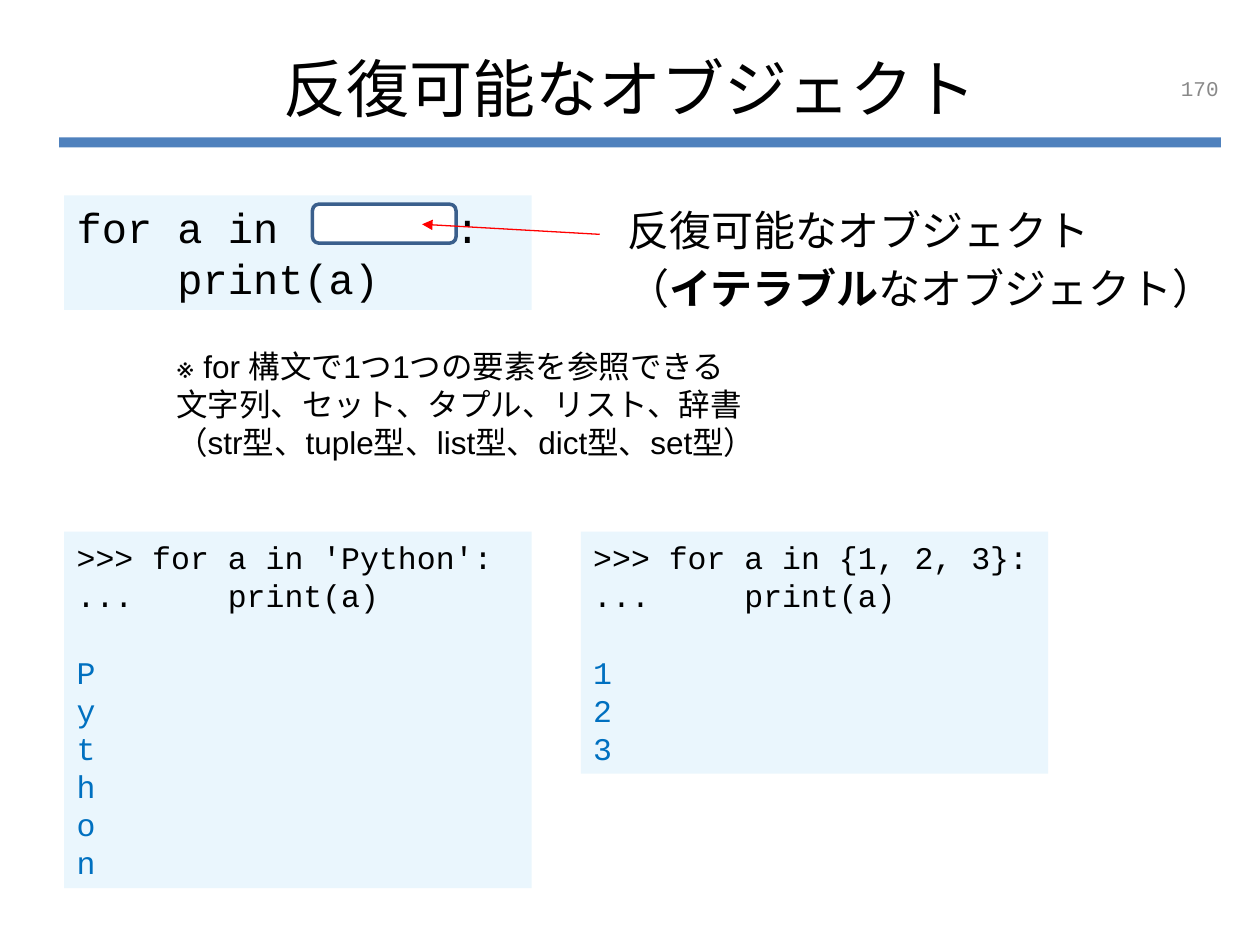
from lxml.etree import SubElement
from pptx import Presentation
from pptx.dml.color import RGBColor
from pptx.enum.shapes import MSO_CONNECTOR as Connector, MSO_SHAPE as Preset
from pptx.enum.text import MSO_ANCHOR as Anchor, MSO_AUTO_SIZE as AutoSize, PP_ALIGN as Align
from pptx.oxml.ns import qn
from pptx.util import Inches, Pt

BLACK = RGBColor(0x00, 0x00, 0x00)
WHITE = RGBColor(0xFF, 0xFF, 0xFF)
GRAY = RGBColor(0x89, 0x89, 0x89)
RED = RGBColor(0xFF, 0x00, 0x00)
BAR_BLUE = RGBColor(0x4F, 0x81, 0xBD)
CODE_FILL = RGBColor(0xEA, 0xF6, 0xFD)
OUTPUT_BLUE = RGBColor(0x00, 0x70, 0xC0)
BLANK_BORDER = RGBColor(0x3A, 0x5F, 0x8C)

MONO = "Courier New"
SANS = "Arial"
JAPANESE = "Noto Sans CJK JP"
LINE_HEIGHT = 1.21


def place(shape, box):
    shape.left, shape.top, shape.width, shape.height = map(Inches, box)


def add_text(paragraph, text, size, font, color=BLACK, bold=False):
    run = paragraph.add_run()
    run.text = text
    run.font.size = Pt(size)
    run.font.name = font
    run.font.bold = bold
    run.font.color.rgb = color
    east_asian = SubElement(run._r.get_or_add_rPr(), qn("a:ea"))
    east_asian.set("typeface", JAPANESE)


def add_line(frame, index, size):
    paragraph = frame.paragraphs[0] if index == 0 else frame.add_paragraph()
    paragraph.alignment = Align.LEFT
    paragraph.line_spacing = Pt(round(size * LINE_HEIGHT, 1))
    return paragraph


def add_block(slide, preset, box, fill):
    block = slide.shapes.add_shape(preset, *map(Inches, box))
    block.shadow.inherit = False
    block.fill.solid()
    block.fill.fore_color.rgb = fill
    block.line.fill.background()
    return block


def add_heading(slide, box):
    title = slide.shapes.title
    place(title, box)
    frame = title.text_frame
    frame.auto_size = AutoSize.NONE
    frame.vertical_anchor = Anchor.MIDDLE
    frame.paragraphs[0].alignment = Align.CENTER
    add_text(frame.paragraphs[0], "反復可能なオブジェクト", 36, SANS)
    add_block(slide, Preset.RECTANGLE, (0.47, 1.09, 9.22, 0.08), BAR_BLUE)


def add_page_number(slide, box):
    frame = slide.shapes.add_textbox(*map(Inches, box)).text_frame
    frame.word_wrap = True
    frame.vertical_anchor = Anchor.MIDDLE
    frame.paragraphs[0].alignment = Align.RIGHT
    add_text(frame.paragraphs[0], "170", 12, MONO, GRAY)


def add_code(slide, box, size, code, output=()):
    frame = add_block(slide, Preset.RECTANGLE, box, CODE_FILL).text_frame
    frame.word_wrap = True
    frame.vertical_anchor = Anchor.TOP
    for index, text in enumerate([*code, *output]):
        paragraph = add_line(frame, index, size)
        if index == len(code):
            paragraph.space_before = paragraph.line_spacing
        add_text(paragraph, text, size, MONO, BLACK if index < len(code) else OUTPUT_BLUE)


def add_blank(slide, box):
    blank = add_block(slide, Preset.ROUNDED_RECTANGLE, box, WHITE)
    blank.line.color.rgb = BLANK_BORDER
    blank.line.width = Pt(2)


def add_arrow(slide, start, end):
    arrow = slide.shapes.add_connector(Connector.STRAIGHT, *map(Inches, start + end))
    arrow.line.color.rgb = RED
    arrow.line.width = Pt(0.75)
    SubElement(arrow.line._get_or_add_ln(), qn("a:tailEnd")).set("type", "triangle")
    SubElement(arrow._element.spPr, qn("a:effectLst"))


def add_definition(slide, box):
    body = slide.placeholders[1]
    place(body, box)
    frame = body.text_frame
    frame.auto_size = AutoSize.NONE
    lines = [
        [("反復可能なオブジェクト", False)],
        [("（", False), ("イテラブル", True), ("なオブジェクト）", False)],
    ]
    for index, parts in enumerate(lines):
        paragraph = add_line(frame, index, 24)
        properties = paragraph._p.get_or_add_pPr()
        properties.set("marL", "0")
        properties.set("indent", "0")
        paragraph.space_before = Pt(4 * index)
        SubElement(properties, qn("a:buNone"))
        for text, bold in parts:
            add_text(paragraph, text, 24, JAPANESE, bold=bold)


def add_note(slide, box):
    frame = slide.shapes.add_textbox(*map(Inches, box)).text_frame
    frame.word_wrap = True
    lines = [
        "※ for 構文で1つ1つの要素を参照できる",
        "文字列、セット、タプル、リスト、辞書",
        "（str型、tuple型、list型、dict型、set型）",
    ]
    for index, text in enumerate(lines):
        add_text(add_line(frame, index, 18), text, 18, SANS)


def main():
    deck = Presentation()
    deck.slide_width, deck.slide_height = Inches(10), Inches(7.5)
    slide = deck.slides.add_slide(deck.slide_layouts[1])

    add_heading(slide, (0.5, 0.3, 9, 0.79))
    add_code(slide, (0.51, 1.55, 3.71, 0.91), 24, ["for a in       :", "    print(a)"])
    add_blank(slide, (2.48, 1.62, 1.14, 0.31))
    add_arrow(slide, (4.76, 1.86), (3.35, 1.78))
    add_definition(slide, (4.88, 1.57, 5.28, 2.24))

    examples = [
        (0.51, 2.83, "'Python'", "Python"),
        (4.61, 1.92, "{1, 2, 3}", "123"),
    ]
    for left, height, iterable, output in examples:
        code = [f">>> for a in {iterable}:", "...     print(a)"]
        add_code(slide, (left, 4.22, 3.71, height), 18, code, output)

    add_note(slide, (1.3, 2.7, 5, 1.11))
    add_page_number(slide, (7.44, 0.5, 2.33, 0.4))
    deck.save("out.pptx")


if __name__ == "__main__":
    main()
